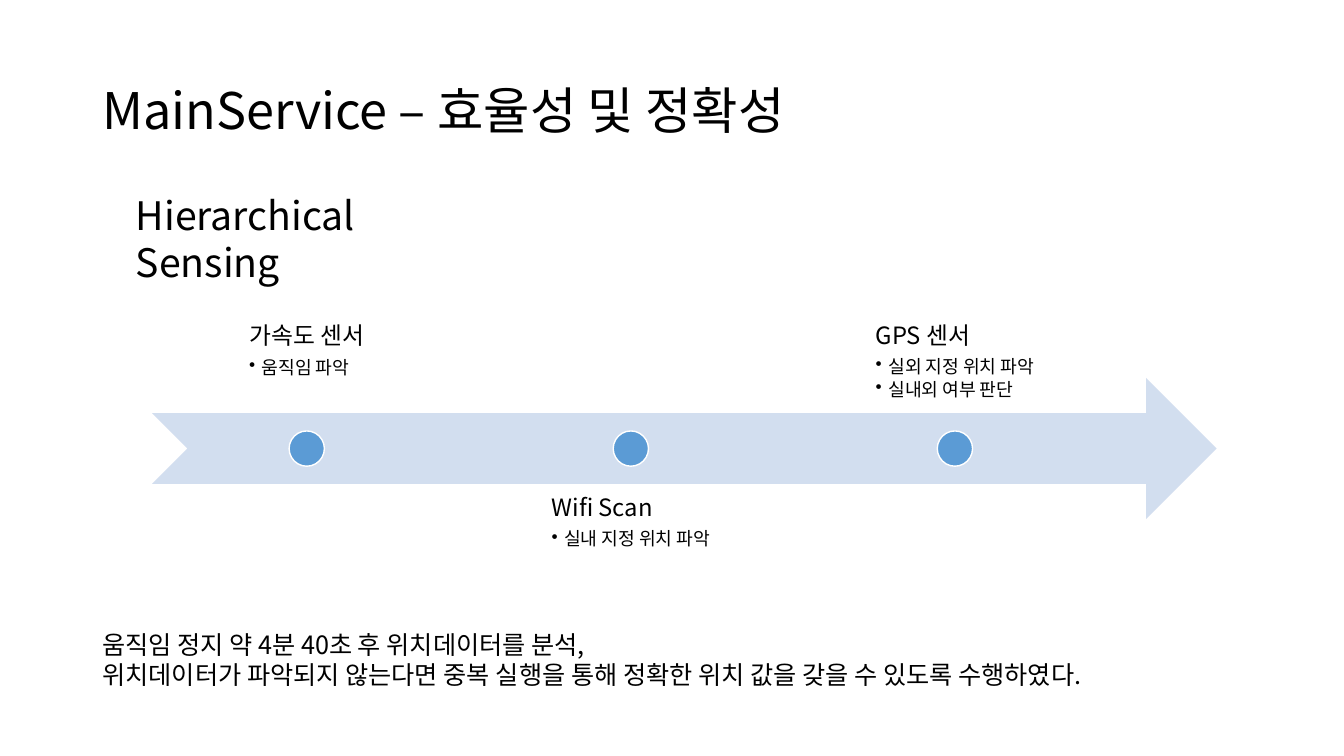
from dataclasses import dataclass

from pptx import Presentation
from pptx.dml.color import RGBColor
from pptx.enum.shapes import MSO_SHAPE
from pptx.enum.text import MSO_ANCHOR
from pptx.oxml.ns import qn
from pptx.util import Pt

NOTCHED_ARROW = MSO_SHAPE.NOTCHED_RIGHT_ARROW
OVAL = MSO_SHAPE.OVAL
TOP, MIDDLE, BOTTOM = MSO_ANCHOR.TOP, MSO_ANCHOR.MIDDLE, MSO_ANCHOR.BOTTOM


@dataclass(frozen=True)
class Theme:
    font: str = "Noto Sans CJK KR"
    text: str = "000000"
    arrow: str = "D2DEEF"
    dot: str = "5B9BD5"
    outline: str = "FFFFFF"
    title_size: int = 36
    subtitle_size: int = 28
    body_size: int = 18
    step_size: int = 17
    detail_size: int = 13


def add_text(paragraph, text, *, size, theme, line_spacing=1.0, space_after=0, bullet=False):
    """Write one formatted run, optionally as a bullet with a hanging indent."""
    paragraph.line_spacing = line_spacing
    paragraph.space_after = Pt(space_after)
    run = paragraph.add_run()
    run.text = text
    run.font.size = Pt(size)
    run.font.name = theme.font
    run.font.color.rgb = RGBColor.from_string(theme.text)
    east_asian = run.font._element.makeelement(qn("a:ea"), {"typeface": theme.font})
    run.font._element.find(qn("a:latin")).addnext(east_asian)
    if bullet:
        properties = paragraph._p.get_or_add_pPr()
        properties.set("marL", str(Pt(9)))
        properties.set("indent", str(-Pt(9)))
        properties.append(properties.makeelement(qn("a:buChar"), {"char": "•"}))


class SlideBuilder:
    def __init__(self, slide, theme):
        self.slide = slide
        self.theme = theme

    def shape(self, kind, left, top, width, height, fill, outline=None):
        shape = self.slide.shapes.add_shape(kind, Pt(left), Pt(top), Pt(width), Pt(height))
        shape.shadow.inherit = False
        shape.fill.solid()
        shape.fill.fore_color.rgb = RGBColor.from_string(fill)
        if outline:
            shape.line.color.rgb = RGBColor.from_string(outline)
            shape.line.width = Pt(1)
        else:
            shape.line.fill.background()

    def text_box(self, left, top, width, height, anchor=TOP):
        frame = self.slide.shapes.add_textbox(Pt(left), Pt(top), Pt(width), Pt(height)).text_frame
        frame.word_wrap = True
        frame.vertical_anchor = anchor
        return frame

    def text(self, lines, left, top, width, height, size, anchor=TOP, line_spacing=1.0):
        frame = self.text_box(left, top, width, height, anchor)
        for index, line in enumerate(lines):
            paragraph = frame.add_paragraph() if index else frame.paragraphs[0]
            add_text(paragraph, line, size=size, theme=self.theme, line_spacing=line_spacing)

    def step_label(self, heading, details, left, top, width, height, anchor):
        frame = self.text_box(left, top, width, height, anchor)
        frame.margin_left = frame.margin_right = Pt(9.4)
        frame.margin_top = frame.margin_bottom = Pt(9.4)
        # Centre the left-aligned block as a whole
        frame._txBody.bodyPr.set("anchorCtr", "1")
        add_text(frame.paragraphs[0], heading, size=self.theme.step_size, theme=self.theme,
                 line_spacing=0.9, space_after=6)
        for detail in details:
            add_text(frame.add_paragraph(), detail, size=self.theme.detail_size,
                     theme=self.theme, line_spacing=0.9, space_after=2, bullet=True)


presentation = Presentation()
presentation.slide_width, presentation.slide_height = Pt(960), Pt(540)
theme = Theme()
builder = SlideBuilder(presentation.slides.add_slide(presentation.slide_layouts[6]), theme)

# Title and subtitle
builder.text(["MainService – 효율성 및 정확성"], 66, 28.8, 828, 104.4,
             theme.title_size, MIDDLE, 0.9)
builder.text(["Hierarchical Sensing"], 90, 133.2, 272, 41, theme.subtitle_size)

# Timeline arrow
ARROW_LEFT, ARROW_TOP, ARROW_WIDTH, ARROW_HEIGHT = 108.7, 270, 760.3, 100.8
builder.shape(NOTCHED_ARROW, ARROW_LEFT, ARROW_TOP, ARROW_WIDTH, ARROW_HEIGHT, theme.arrow)

# Steps: evenly spaced dots, labels alternating above and below
FIRST_CENTER, STEP_GAP = 219.1, 231.5
DOT_SIZE = ARROW_HEIGHT / 4
LABEL_WIDTH, LABEL_HEIGHT = 220.3, ARROW_HEIGHT
ABOVE_TOP, BELOW_TOP = 194.4, 344.9
DETAIL_PITCH, MOST_DETAILS = 15.8, 2
STEPS = [
    ("가속도 센서", ["움직임 파악"]),
    ("Wifi Scan", ["실내 지정 위치 파악"]),
    ("GPS 센서", ["실외 지정 위치 파악", "실내외 여부 판단"]),
]
for index, (heading, details) in enumerate(STEPS):
    center = FIRST_CENTER + index * STEP_GAP
    if index % 2:
        label_top, anchor = BELOW_TOP, TOP
    else:
        # Keep the headings above the arrow level with each other
        label_top = ABOVE_TOP - (MOST_DETAILS - len(details)) * DETAIL_PITCH
        anchor = BOTTOM
    builder.step_label(heading, details, center - LABEL_WIDTH / 2, label_top,
                       LABEL_WIDTH, LABEL_HEIGHT, anchor)
    builder.shape(OVAL, center - DOT_SIZE / 2, ARROW_TOP + (ARROW_HEIGHT - DOT_SIZE) / 2,
                  DOT_SIZE, DOT_SIZE, theme.dot, theme.outline)

# Closing note
builder.text(["움직임 정지 약 4분 40초 후 위치데이터를 분석,",
              "위치데이터가 파악되지 않는다면 중복 실행을 통해 정확한 위치 값을 갖을 수 있도록 수행하였다."],
             66, 445.7, 816, 51, theme.body_size)

presentation.save("out.pptx")
